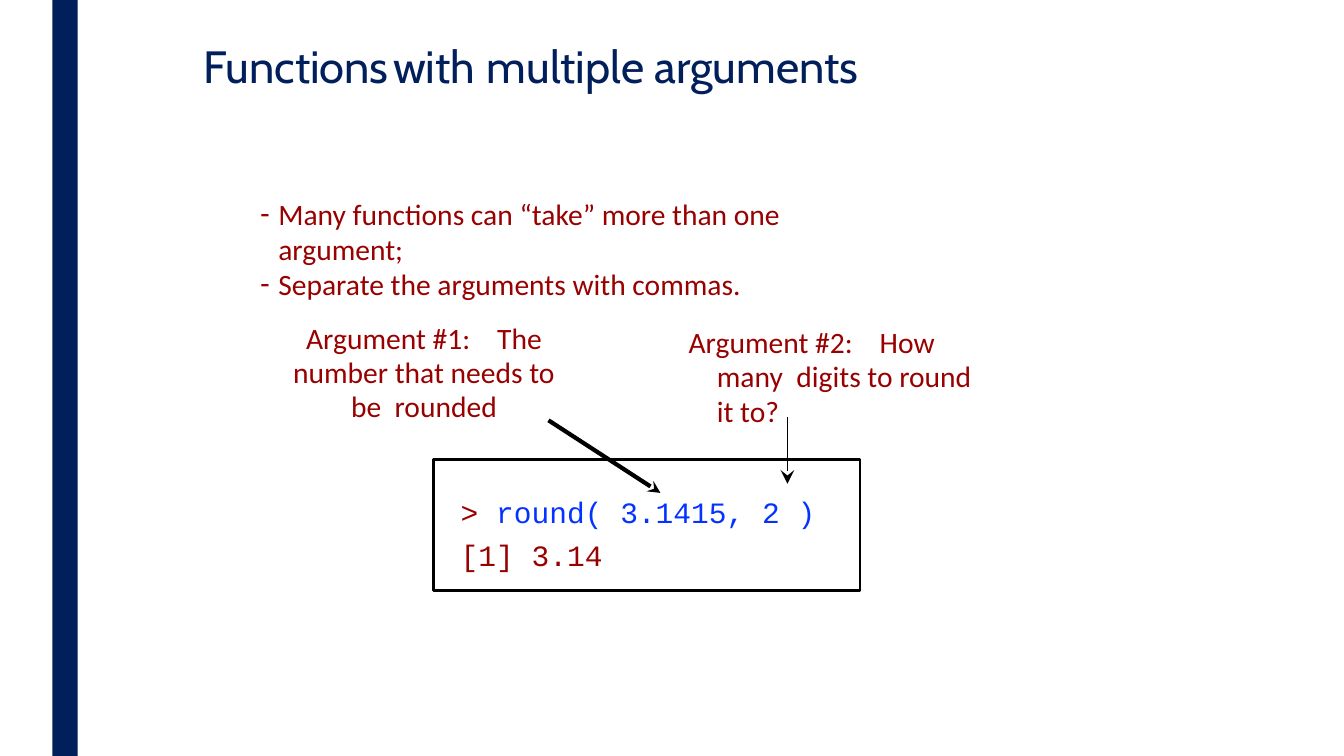
from dataclasses import dataclass

from lxml import etree
from pptx import Presentation
from pptx import util as u
from pptx.dml.color import RGBColor
from pptx.enum import shapes, text
from pptx.oxml import ns


@dataclass(frozen=True)
class Theme:
    navy: str = "011F5B"
    red: str = "990000"
    blue: str = "0433FF"
    black: str = "000000"
    heading: str = "Cabin"
    body: str = "Calibri"
    code: str = "Courier New"
    title_size: float = 32.3
    text_size: float = 21.1


class SlideBuilder:
    def __init__(self, deck, theme):
        self.theme = theme
        self.page = deck.slides.add_slide(deck.slide_layouts[1])

    def place(self, shape, area):
        shape.left, shape.top, shape.width, shape.height = map(u.Inches, area)

    def frame(self, shape, left=0, top=0, wrap=True):
        frame = shape.text_frame
        frame.word_wrap = wrap
        frame.auto_size = text.MSO_AUTO_SIZE.NONE
        frame.vertical_anchor = text.MSO_ANCHOR.TOP
        frame.margin_left, frame.margin_top = u.Inches(left), u.Inches(top)
        frame.margin_right = frame.margin_bottom = 0
        return frame

    def style(self, font, name, size, color):
        font.name, font.size = name, u.Pt(size)
        font.color.rgb = RGBColor.from_string(color)

    def span(self, para, words, name, color, spacing=0):
        span = para.add_run()
        span.text = words
        self.style(span.font, name, self.theme.text_size, color)
        if spacing:
            span.font._element.set("spc", str(round(spacing * 100)))

    def indent(self, para, margin, first):
        properties = para._p.get_or_add_pPr()
        properties.set("marL", str(u.Inches(margin)))
        properties.set("indent", str(u.Inches(first)))
        return properties

    def sidebar(self, area):
        bar = self.page.shapes.add_shape(shapes.MSO_SHAPE.RECTANGLE, *map(u.Inches, area))
        bar.shadow.inherit = False
        bar.fill.solid()
        bar.fill.fore_color.rgb = RGBColor.from_string(self.theme.navy)
        bar.line.fill.background()

    def title(self, words, area, tab_stops):
        box = self.page.shapes.title
        self.place(box, area)
        frame = self.frame(box)
        frame.text = words
        para = frame.paragraphs[0]
        tabs = etree.SubElement(para._p.get_or_add_pPr(), ns.qn("a:tabLst"))
        for stop in tab_stops:
            etree.SubElement(tabs, ns.qn("a:tab"), pos=str(u.Inches(stop)), algn="l")
        para.alignment = text.PP_ALIGN.LEFT
        for span in para.runs:
            self.style(span.font, self.theme.heading, self.theme.title_size, self.theme.navy)

    def bullets(self, items, area):
        box = self.page.placeholders[1]
        self.place(box, area)
        frame = self.frame(box)
        frame.text = "\n".join(items)
        for para in frame.paragraphs:
            properties = self.indent(para, 0.19, -0.18)
            etree.SubElement(properties, ns.qn("a:buChar"), char="-")
            para.line_spacing, para.space_before = u.Pt(25), u.Pt(0)
            for span in para.runs:
                self.style(span.font, self.theme.body, self.theme.text_size, self.theme.red)

    def callout(self, pieces, area, alignment, margin, first):
        box = self.page.shapes.add_textbox(*map(u.Inches, area))
        para = self.frame(box).paragraphs[0]
        self.indent(para, margin, first)
        para.alignment, para.line_spacing = alignment, u.Pt(24.6)
        for words, spacing in pieces:
            self.span(para, words, self.theme.body, self.theme.red, spacing)

    def console(self, lines, area):
        box = self.page.shapes.add_shape(shapes.MSO_SHAPE.RECTANGLE, *map(u.Inches, area))
        box.shadow.inherit = False
        box.fill.background()
        box.line.color.rgb = RGBColor.from_string(self.theme.black)
        box.line.width = u.Pt(2)
        frame = self.frame(box, left=0.27, top=0.34, wrap=False)
        for number, pieces in enumerate(lines):
            para = frame.add_paragraph() if number else frame.paragraphs[0]
            para.alignment = text.PP_ALIGN.LEFT
            para.space_before = u.Pt(5.6 if number else 0)
            for words, color in pieces:
                self.span(para, words, self.theme.code, color)

    def arrow(self, start, end, width, head):
        line = self.page.shapes.add_connector(
            shapes.MSO_CONNECTOR.STRAIGHT, *map(u.Inches, start + end))
        line.line.color.rgb = RGBColor.from_string(self.theme.black)
        line.line.width = u.Pt(width)
        properties = line._element.spPr
        outline = properties.find(ns.qn("a:ln"))
        etree.SubElement(outline, ns.qn("a:tailEnd"), type="stealth", w=head, len=head)
        etree.SubElement(properties, ns.qn("a:effectLst"))


def main():
    deck = Presentation()
    deck.slide_width, deck.slide_height = u.Inches(13.33), u.Inches(7.5)
    theme = Theme()
    slide = SlideBuilder(deck, theme)
    wide_gap, small_gap = (" ", 14.3), (" ", 4.8)

    slide.sidebar((0.52, 0, 0.25, 7.5))
    slide.title("Functions\twith\tmultiple arguments", (2.02, 0.38, 7.8, 0.54), (1.88, 2.81))
    slide.bullets(
        ["Many functions can “take” more than one argument;",
         "Separate the arguments with commas."],
        (2.57, 1.95, 6.37, 1.05))
    slide.callout(
        [("Argument #1:", 0), wide_gap, ("The number that needs to be", 0),
         small_gap, ("rounded", 0)],
        (2.78, 3.18, 2.85, 1.05), text.PP_ALIGN.CENTER, 0, 0)
    slide.callout(
        [("Argument #2:", 0), wide_gap, ("How many", 0),
         small_gap, ("digits to round it to?", 0)],
        (6.82, 3.22, 2.92, 1.05), text.PP_ALIGN.LEFT, 0.29, -0.28)
    slide.console(
        [[("> ", theme.red), ("round( 3.1415, 2 )", theme.blue)],
         [("[1] 3.14", theme.red)]],
        (4.3, 4.56, 4.23, 1.3))
    slide.arrow((5.44, 4.17), (6.55, 4.89), 3, "med")
    slide.arrow((7.81, 4.14), (7.81, 4.8), 0.25, "lg")
    deck.save("out.pptx")


if __name__ == "__main__":
    main()
